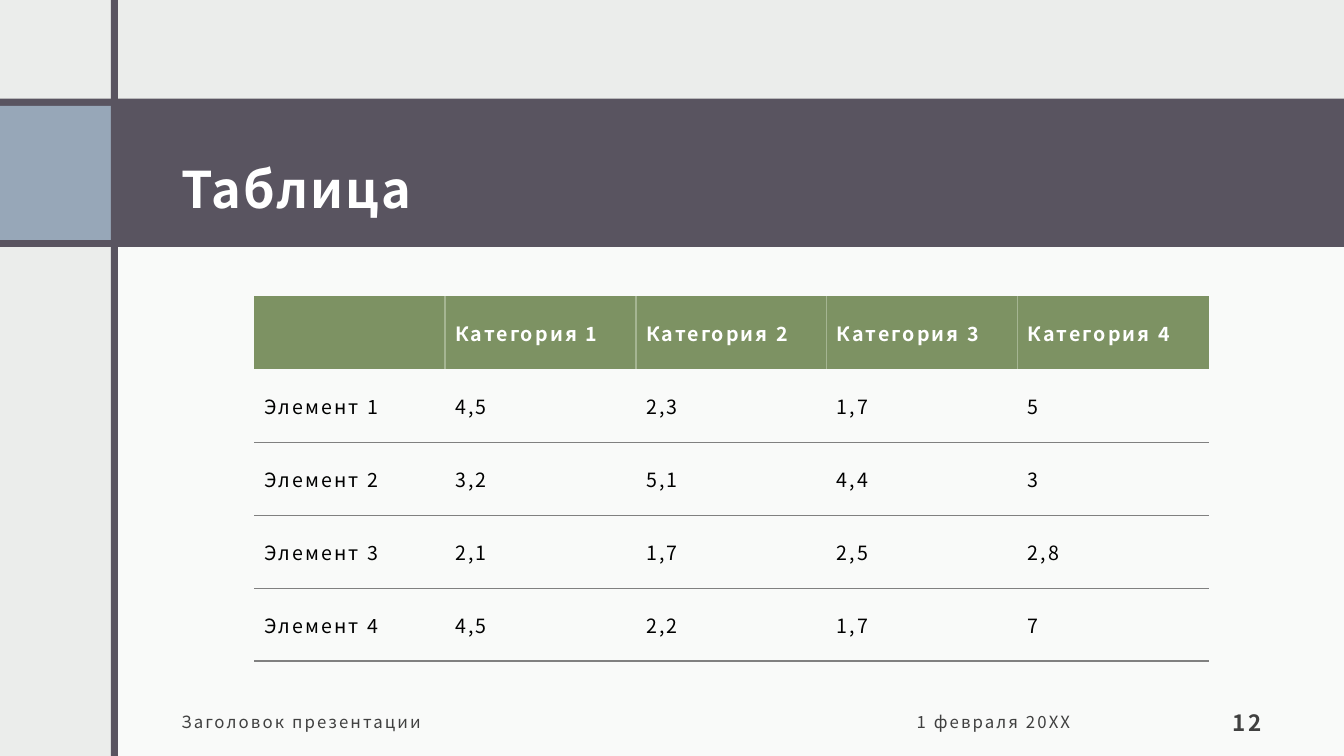
"""Build a title-and-table slide with a coloured grid frame."""
from dataclasses import dataclass

from lxml import etree
from pptx import Presentation
from pptx.dml.color import RGBColor
from pptx.enum import shapes, text
from pptx.oxml import ns
from pptx.util import Inches, Pt


@dataclass(frozen=True)
class Theme:
    font: str = "Noto Sans CJK JP"
    back: str = "EBEDEB"
    white: str = "FFFFFF"
    dark: str = "595460"
    blue: str = "97A7B8"
    green: str = "7D9263"
    divider: str = "A5B592"
    rule: str = "808080"
    body: str = "000000"
    muted: str = "404040"
    title_pt: int = 36
    number_pt: int = 16
    table_pt: int = 14
    footer_pt: int = 12
    spacing_pt: float = 1.5


T = Theme()


@dataclass(frozen=True)
class Panel:
    left: float
    top: float
    width: float
    height: float
    color: str
    alpha: int = 100


@dataclass(frozen=True)
class Label:
    text: str
    left: float
    width: float
    size: int = T.footer_pt
    bold: bool = False
    align: text.PP_ALIGN = text.PP_ALIGN.LEFT
    anchor: text.MSO_ANCHOR = text.MSO_ANCHOR.MIDDLE


PANELS = [
    Panel(1.14, 2.33, 12.19, 5.17, T.white, 75),
    Panel(0, 0.98, 13.33, 1.47, T.dark),
    Panel(0, 1.05, 1.1, 1.33, T.blue),
    Panel(1.1, 0, 0.07, 7.5, T.dark),
]
LABELS = [
    Label("Заголовок презентации", 1.68, 6.27),
    Label("1 февраля 20XX", 8.97, 2.35),
    Label("12", 11.56, 1.07, T.number_pt, True,
          text.PP_ALIGN.RIGHT, text.MSO_ANCHOR.BOTTOM),
]
VALUES = [
    ["4,5", "2,3", "1,7", "5"],
    ["3,2", "5,1", "4,4", "3"],
    ["2,1", "1,7", "2,5", "2,8"],
    ["4,5", "2,2", "1,7", "7"],
]
ROWS = [["", *(f"Категория {i}" for i in range(1, 5))]]
ROWS += [[f"Элемент {i}", *row] for i, row in enumerate(VALUES, 1)]


def add_run(p, words: str, size: int, color: str, bold: bool = False) -> None:
    r = p.add_run()
    r.text = words
    r.font.name = T.font
    r.font.size = Pt(size)
    r.font.bold = bold
    r.font.color.rgb = RGBColor.from_string(color)
    r._r.get_or_add_rPr().set("spc", str(int(T.spacing_pt * 100)))


def set_frame(tf, anchor: text.MSO_ANCHOR) -> None:
    tf.word_wrap = True
    tf.auto_size = text.MSO_AUTO_SIZE.NONE
    tf.vertical_anchor = anchor
    tf.margin_left = tf.margin_right = tf.margin_top = Inches(0.12)
    tf.margin_bottom = Inches(0.1)


def add_panel(s, panel: Panel) -> None:
    box = map(Inches, (panel.left, panel.top, panel.width, panel.height))
    sp = s.shapes.add_shape(shapes.MSO_SHAPE.RECTANGLE, *box)
    sp.shadow.inherit = False
    sp.line.fill.background()
    sp.fill.solid()
    sp.fill.fore_color.rgb = RGBColor.from_string(panel.color)
    if panel.alpha < 100:
        clr = sp.element.spPr.find(".//" + ns.qn("a:srgbClr"))
        etree.SubElement(clr, ns.qn("a:alpha"), val=str(panel.alpha * 1000))


def add_title(s, words: str) -> None:
    sp = s.shapes.title
    s.shapes.element.append(sp.element)
    sp.left, sp.top = Inches(1.68), Inches(1.14)
    sp.width, sp.height = Inches(10.95), Inches(1.13)
    set_frame(sp.text_frame, text.MSO_ANCHOR.MIDDLE)
    p = sp.text_frame.paragraphs[0]
    p.alignment = text.PP_ALIGN.LEFT
    p.line_spacing = 1.5
    add_run(p, words, T.title_pt, T.white, True)


def add_label(s, label: Label) -> None:
    sp = s.shapes.add_textbox(Inches(label.left), Inches(6.9),
                              Inches(label.width), Inches(0.5))
    set_frame(sp.text_frame, label.anchor)
    p = sp.text_frame.paragraphs[0]
    p.alignment = label.align
    add_run(p, label.text, label.size, T.muted, label.bold)


def add_border(cell, side: str, color: str) -> None:
    tc_pr = cell._tc.get_or_add_tcPr()
    ln = etree.SubElement(tc_pr, ns.qn(f"a:ln{side}"), w=str(Pt(1)))
    fill = etree.SubElement(ln, ns.qn("a:solidFill"))
    etree.SubElement(fill, ns.qn("a:srgbClr"), val=color)


def add_data_table(s, rows: list[list[str]]) -> None:
    n_cols = len(rows[0])
    frame = s.shapes.add_table(len(rows), n_cols, Inches(2.52), Inches(2.94),
                               Inches(9.47), Inches(3.62))
    table = frame.table
    table.horz_banding = False
    style = table._tbl.tblPr.find(ns.qn("a:tableStyleId"))
    style.text = "{2D5ABB26-0587-4C30-8999-92F81FD0307C}"
    for i, row in enumerate(rows):
        for j, words in enumerate(row):
            cell = table.cell(i, j)
            cell.vertical_anchor = text.MSO_ANCHOR.MIDDLE
            header = i == 0
            if header:
                if j > 0:
                    add_border(cell, "L", T.divider)
                if j < n_cols - 1:
                    add_border(cell, "R", T.divider)
                cell.fill.solid()
                cell.fill.fore_color.rgb = RGBColor.from_string(T.green)
            else:
                add_border(cell, "B", T.rule)
                cell.fill.background()
            if words:
                add_run(cell.text_frame.paragraphs[0], words, T.table_pt,
                        T.white if header else T.body, header)


def main() -> None:
    prs = Presentation()
    prs.slide_width, prs.slide_height = Inches(13.33), Inches(7.5)
    s = prs.slides.add_slide(prs.slide_layouts.get_by_name("Title Only"))
    s.background.fill.solid()
    s.background.fill.fore_color.rgb = RGBColor.from_string(T.back)
    for panel in PANELS:
        add_panel(s, panel)
    add_title(s, "Таблица")
    for label in LABELS:
        add_label(s, label)
    add_data_table(s, ROWS)
    prs.save("out.pptx")


if __name__ == "__main__":
    main()
